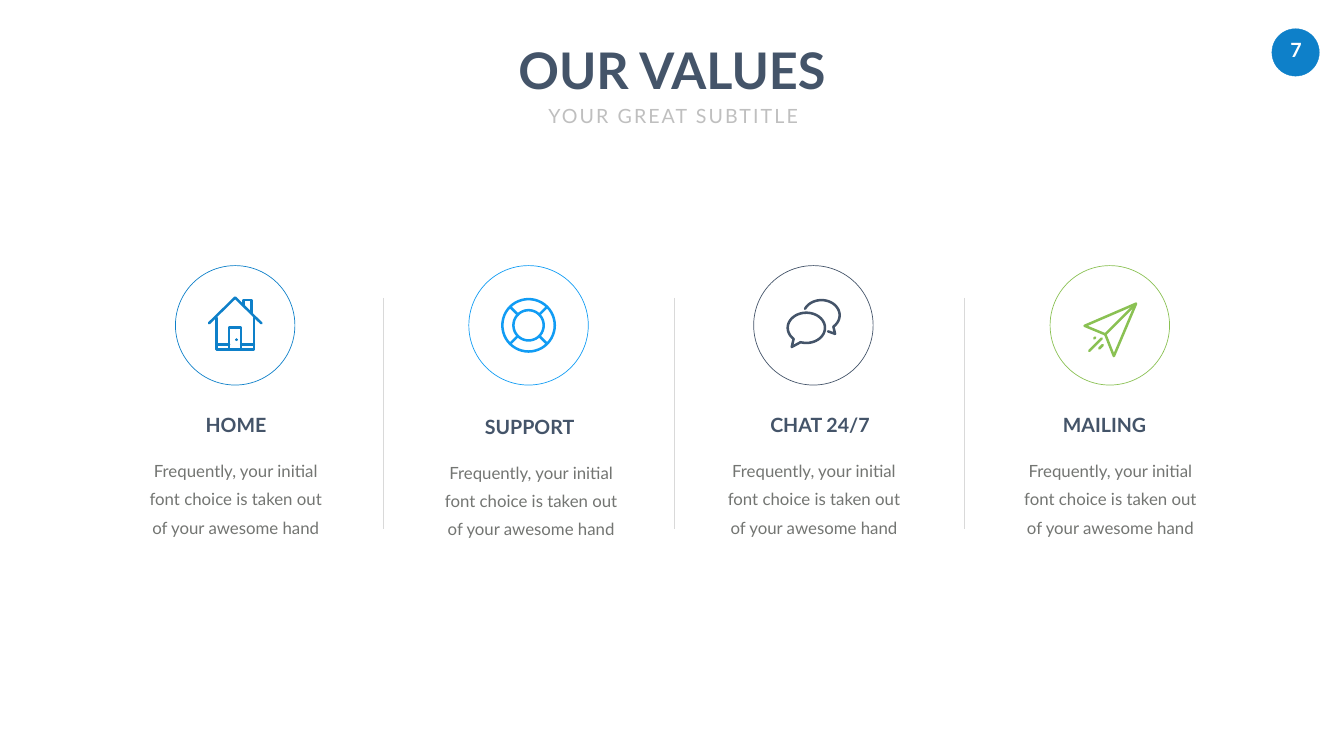
"""Build the four-column "Our values" slide with line icons."""
import dataclasses
import math

import lxml.etree
import pptx
import pptx.dml.color
import pptx.enum.shapes
import pptx.enum.text
import pptx.oxml.ns
import pptx.util

Inches = pptx.util.Inches
Pt = pptx.util.Pt
ANCHOR = pptx.enum.text.MSO_ANCHOR
OVAL = pptx.enum.shapes.MSO_SHAPE.OVAL


@dataclasses.dataclass(frozen=True)
class Theme:
    font: str = "Lato"
    navy: str = "445469"
    blue: str = "0E80C9"
    sky: str = "119CF4"
    green: str = "8AC153"
    body: str = "737572"
    subtitle: str = "BFBFBF"
    divider: str = "D9D9D9"
    white: str = "FFFFFF"
    title_size: int = 72
    heading_size: int = 28
    body_size: int = 24
    icon_stroke: float = 3.6


@dataclasses.dataclass(frozen=True)
class Value:
    heading: str
    color: str
    ring_left: float
    heading_left: float
    heading_width: float
    body_left: float
    drop: float
    icon_strokes: list


THEME = Theme()
RING = 2.37
RING_TOP = 5.27
DIVIDERS = (7.6, 13.37, 19.13)
PITCH = "Frequently, your initial font choice is taken out of your awesome hand"


def rgb(color):
    return pptx.dml.color.RGBColor.from_string(color)


def place(shape, left, top, width, height):
    shape.left, shape.top = Inches(left), Inches(top)
    shape.width, shape.height = Inches(width), Inches(height)


def write(shape, text, size, color, bold=False, anchor=ANCHOR.TOP, wrap=False, inset=(0.1, 0.05)):
    """Fill a shape with one centred paragraph and return that paragraph."""
    frame = shape.text_frame
    frame.text = text
    frame.word_wrap = wrap
    frame.auto_size = pptx.enum.text.MSO_AUTO_SIZE.NONE
    frame.vertical_anchor = anchor
    frame.margin_left = frame.margin_right = Inches(inset[0])
    frame.margin_top = frame.margin_bottom = Inches(inset[1])
    paragraph = frame.paragraphs[0]
    paragraph.alignment = pptx.enum.text.PP_ALIGN.CENTER
    font = paragraph.runs[0].font
    font.name, font.size, font.bold = THEME.font, Pt(size), bold
    font.color.rgb = rgb(color)
    return paragraph


def add_text(slide, box, *args, **style):
    textbox = slide.shapes.add_textbox(*map(Inches, box))
    return write(textbox, *args, **style)


def add_circle(slide, left, top, diameter, color, width, filled=False):
    """Draw a circle, either as a ring or as a solid disc."""
    circle = slide.shapes.add_shape(OVAL, *map(Inches, (left, top, diameter, diameter)))
    circle.shadow.inherit = False
    if filled:
        circle.fill.solid()
        circle.fill.fore_color.rgb = rgb(color)
    else:
        circle.fill.background()
    circle.line.color.rgb = rgb(color)
    circle.line.width = Pt(width)


def add_icon(slide, value):
    """Draw all strokes of an icon as one outline, measured from the ring's centre."""
    center_x, center_y = value.ring_left + RING / 2, RING_TOP + RING / 2
    strokes = [[(Inches(center_x + x), Inches(center_y + y)) for x, y in stroke]
               for stroke in value.icon_strokes]
    builder = slide.shapes.build_freeform(*strokes[0][0])
    for index, (start, *rest) in enumerate(strokes):
        if index:
            builder.move_to(*start)
        builder.add_line_segments(rest, close=rest[-1] == start)
    icon = builder.convert_to_shape()
    icon.shadow.inherit = False
    icon.fill.background()
    icon.line.color.rgb = rgb(value.color)
    icon.line.width = Pt(THEME.icon_stroke)
    outline = icon.line._get_or_add_ln()
    outline.set("cap", "rnd")
    lxml.etree.SubElement(outline, pptx.oxml.ns.qn("a:round"))


def arc(x, y, rx, ry, start=0, end=360):
    """Return points along an ellipse, with angles in degrees clockwise from the right."""
    angles = [math.radians(start + (end - start) * i / 48) for i in range(49)]
    return [(x + rx * math.cos(a), y + ry * math.sin(a)) for a in angles]


def house():
    return [
        [(-0.52, -0.04), (0, -0.55), (0.52, -0.04)],
        [(-0.37, -0.15), (-0.37, 0.48), (0.37, 0.48), (0.37, -0.15)],
        [(-0.12, 0.48), (-0.12, 0.04), (0.12, 0.04), (0.12, 0.48)],
        [(0.17, -0.4), (0.17, -0.5), (0.32, -0.5), (0.32, -0.25)],
        [(-0.37, 0.38), (-0.12, 0.38)],
        [(0.12, 0.38), (0.37, 0.38)],
        [(0.03, 0.28), (0.03, 0.29)],
    ]


def lifebuoy():
    inner, outer = 0.3, 0.52
    spokes = [[(r * math.cos(a), r * math.sin(a)) for r in (inner, outer)]
              for a in map(math.radians, range(45, 360, 90))]
    return [arc(0, 0, inner, inner), arc(0, 0, outer, outer), *spokes]


def bubbles():
    front = arc(-0.14, 0.05, 0.37, 0.3, 133, 468) + [(-0.43, 0.43)]
    back = arc(0.16, -0.2, 0.36, 0.3, 205, 409) + [(0.43, 0.17), (0.29, 0.12)]
    return [front + front[:1], back]


def plane():
    nose, fold = (0.52, -0.43), (-0.09, 0.18)
    return [
        [nose, (-0.5, 0.01), fold, (0.08, 0.61), nose],
        [fold, nose],
        [(-0.41, 0.51), (-0.16, 0.26)],
        [(-0.21, 0.46), (-0.14, 0.39)],
        [(-0.31, 0.26), (-0.29, 0.24)],
    ]


def add_value(slide, value):
    """Draw one column: description, heading, icon and ring."""
    pitch = add_text(slide, (value.body_left, 8.86 + value.drop, 4.15, 1.92), PITCH,
                     THEME.body_size, THEME.body, wrap=True, inset=(0.24, 0.12))
    pitch.line_spacing = Pt(40.4)
    add_text(slide, (value.heading_left, 8.15 + value.drop, value.heading_width, 0.57), value.heading,
             THEME.heading_size, THEME.navy, bold=True, anchor=ANCHOR.MIDDLE)
    add_icon(slide, value)
    add_circle(slide, value.ring_left, RING_TOP, RING, value.color, 1)


def add_divider(slide, x):
    divider = slide.shapes.add_connector(
        pptx.enum.shapes.MSO_CONNECTOR.STRAIGHT, Inches(x), Inches(5.91), Inches(x), Inches(10.49))
    divider.line.color.rgb = rgb(THEME.divider)
    divider.line.width = Pt(1)
    lxml.etree.SubElement(divider._element.spPr, pptx.oxml.ns.qn("a:effectLst"))


def add_header(slide):
    """Set the title, the subtitle and the page badge."""
    place(slide.shapes.title, 10.08, 0.72, 6.5, 1.31)
    write(slide.shapes.title, "OUR VALUES", THEME.title_size, THEME.navy, bold=True)
    subtitle = add_text(slide, (10.56, 1.85, 5.59, 0.81), "YOUR GREAT SUBTITLE",
                        THEME.heading_size, THEME.subtitle, inset=(0.24, 0.12))
    subtitle.line_spacing = 1.2
    subtitle.runs[0].font._element.set("spc", "300")
    add_circle(slide, 25.23, 0.57, 0.94, THEME.blue, 0.5, filled=True)
    add_text(slide, (25.27, 0.66, 0.88, 0.67), "7", THEME.heading_size, THEME.white,
             bold=True, inset=(0.2, 0.1))


def main():
    deck = pptx.Presentation()
    deck.slide_width, deck.slide_height = Inches(26.66), Inches(15)
    slide = deck.slides.add_slide(deck.slide_layouts[5])
    add_header(slide)
    for value in (
        Value("HOME", THEME.blue, 3.48, 3.97, 1.42, 2.6, 0, house()),
        Value("SUPPORT", THEME.sky, 9.3, 9.49, 2.03, 8.46, 0.03, lifebuoy()),
        Value("CHAT 24/7", THEME.navy, 14.95, 15.11, 2.31, 14.07, 0, bubbles()),
        Value("MAILING", THEME.green, 20.83, 20.96, 1.9, 19.95, 0, plane()),
    ):
        add_value(slide, value)
    for x in DIVIDERS:
        add_divider(slide, x)
    deck.save("out.pptx")


if __name__ == "__main__":
    main()
